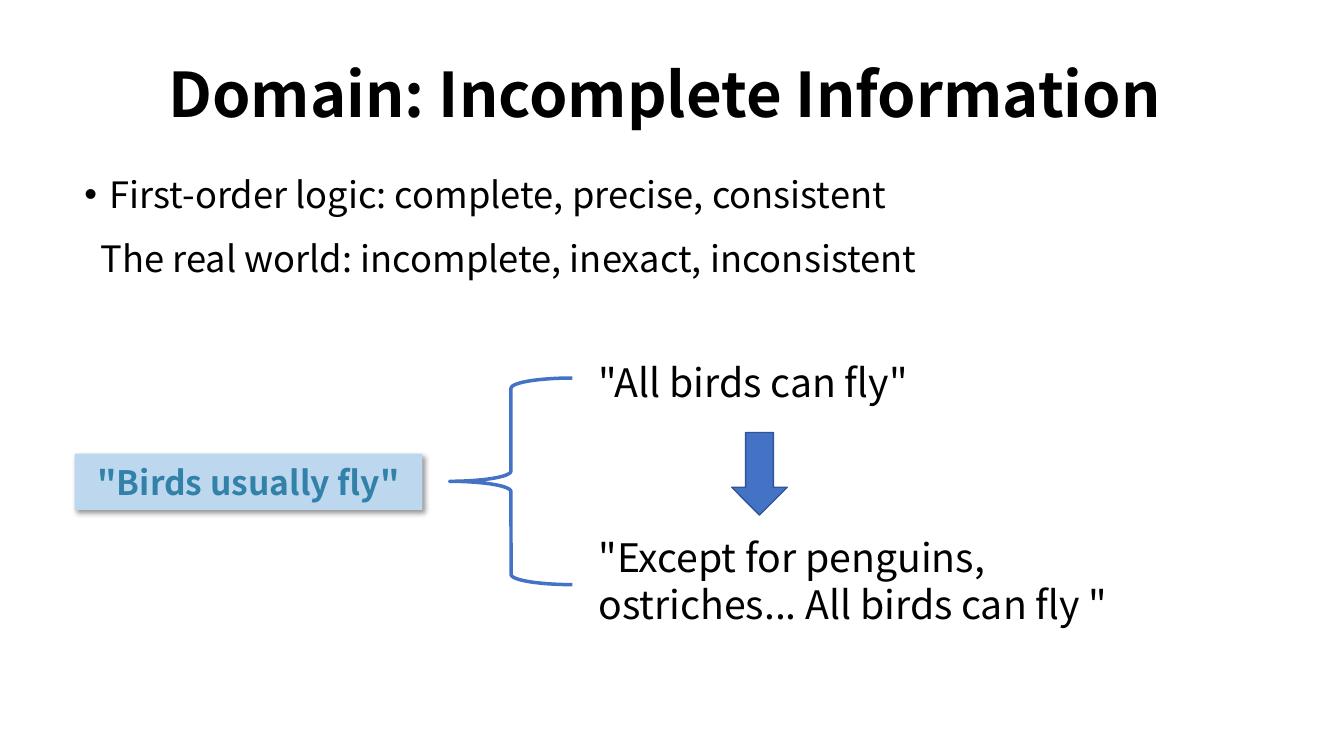
from lxml import etree
from pptx import Presentation
from pptx.dml.color import RGBColor
from pptx.enum.shapes import MSO_SHAPE
from pptx.enum.text import MSO_ANCHOR, PP_ALIGN
from pptx.oxml.ns import qn
from pptx.util import Pt

LEFT, CENTER = PP_ALIGN.LEFT, PP_ALIGN.CENTER
TOP, MIDDLE = MSO_ANCHOR.TOP, MSO_ANCHOR.MIDDLE
RECTANGLE, BRACE, ARROW = MSO_SHAPE.RECTANGLE, MSO_SHAPE.LEFT_BRACE, MSO_SHAPE.DOWN_ARROW

FONT = "Noto Sans CJK SC"
COLORS = {
    "text": "000000",
    "accent": "4472C4",
    "outline": "2F5597",
    "label_fill": "BDD7EE",
    "label_text": "3281A8",
}


def color(name):
    return RGBColor.from_string(COLORS[name])


def write(para, text, size=28, bold=False, ink="text", align=LEFT,
          spacing=None, before=0, margin=0, bullet=None):
    para.alignment = align
    para.line_spacing = spacing
    para.space_before = Pt(before)
    properties = para._p.get_or_add_pPr()
    properties.set("marL", str(Pt(margin)))
    properties.set("indent", str(Pt(-margin if bullet else 0)))
    if bullet:
        etree.SubElement(properties, qn("a:buFont"), typeface="Arial")
        etree.SubElement(properties, qn("a:buChar"), char=bullet)
    span = para.add_run()
    span.text = text
    span.font.name = FONT
    span.font.size = Pt(size)
    span.font.bold = bold
    span.font.color.rgb = color(ink)


class Page:
    """Draws styled elements on one slide, with lengths in points."""

    def __init__(self, deck):
        self.shapes = deck.slides.add_slide(deck.slide_layouts[6]).shapes

    def text(self, left, top, width, height, content, anchor=TOP, **style):
        box = self.shapes.add_textbox(Pt(left), Pt(top), Pt(width), Pt(height))
        frame = box.text_frame
        frame.word_wrap = True
        frame.vertical_anchor = anchor
        write(frame.paragraphs[0], content, **style)
        return frame

    def shape(self, kind, left, top, width, height, fill=None, line=None, weight=1):
        shape = self.shapes.add_shape(kind, Pt(left), Pt(top), Pt(width), Pt(height))
        shape.shadow.inherit = False
        if fill:
            shape.fill.solid()
            shape.fill.fore_color.rgb = color(fill)
        else:
            shape.fill.background()
        if line:
            shape.line.color.rgb = color(line)
            shape.line.width = Pt(weight)
        else:
            shape.line.fill.background()
        return shape

    def label(self, left, top, width, height, content):
        box = self.shape(RECTANGLE, left, top, width, height, fill="label_fill")
        effects = box._element.spPr.find(qn("a:effectLst"))
        shadow = etree.SubElement(effects, qn("a:outerShdw"), blurRad=str(Pt(4)),
                                  dist=str(Pt(3)), dir="2700000", algn="tl",
                                  rotWithShape="0")
        tint = etree.SubElement(shadow, qn("a:srgbClr"), val=COLORS["text"])
        etree.SubElement(tint, qn("a:alpha"), val="40000")
        box.text_frame.vertical_anchor = MIDDLE
        write(box.text_frame.paragraphs[0], content, size=24, bold=True,
              ink="label_text", align=CENTER)


def main():
    deck = Presentation()
    deck.slide_width, deck.slide_height = Pt(960), Pt(540)
    page = Page(deck)

    page.text(66, 17.3, 828, 104.4, "Domain: Incomplete Information ", anchor=MIDDLE,
              size=44, bold=True, align=CENTER, spacing=0.9)
    body_style = {"size": 25.9, "spacing": 1.2, "before": 8.5}
    body = page.text(53.3, 113, 900, 148, "First-order logic: complete, precise, consistent",
                     margin=18, bullet="•", **body_style)
    write(body.add_paragraph(), "The real world: incomplete, inexact, inconsistent",
          margin=11.6, **body_style)

    page.label(53.3, 324, 248.4, 40.3, '"Birds usually fly"')
    page.shape(BRACE, 321.1, 270, 87.8, 147.6, line="accent", weight=2.5)
    page.text(420.5, 252.7, 319.7, 41, '"All birds can fly"')
    page.text(420.5, 377.3, 434.2, 74.9,
              '"Except for penguins, ostriches... All birds can fly "')
    page.shape(ARROW, 522.7, 308.9, 39.6, 59, fill="accent", line="outline")

    deck.save("out.pptx")


if __name__ == "__main__":
    main()
